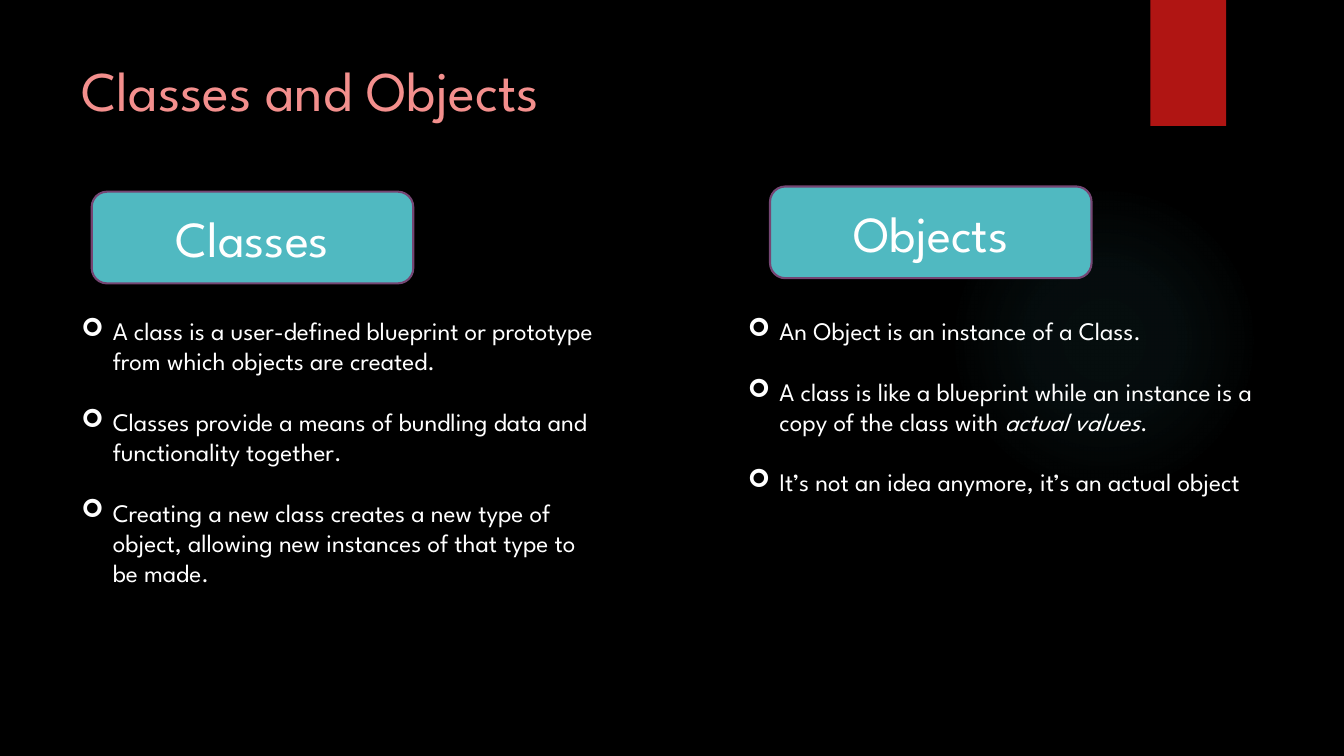
from lxml import etree
from pptx import Presentation
from pptx.dml.color import RGBColor
from pptx.enum.shapes import MSO_SHAPE
from pptx.enum.text import MSO_ANCHOR, PP_ALIGN
from pptx.oxml import parse_xml
from pptx.oxml.ns import nsdecls, qn
from pptx.util import Pt

OVAL, RECT, ROUNDED = MSO_SHAPE.OVAL, MSO_SHAPE.RECTANGLE, MSO_SHAPE.ROUNDED_RECTANGLE
TOP, MIDDLE = MSO_ANCHOR.TOP, MSO_ANCHOR.MIDDLE
LEFT, CENTER = PP_ALIGN.LEFT, PP_ALIGN.CENTER
FONT = "League Spartan"
TEAL, WHITE = "50B9C1", "FFFFFF"


def color(hex_code):
    return RGBColor.from_string(hex_code)


def add_run(paragraph, text, size, hex_code, italic=False):
    run = paragraph.add_run()
    run.text = text
    run.font.name = FONT
    run.font.size = Pt(size)
    run.font.color.rgb = color(hex_code)
    if italic:
        run.font.italic = True


prs = Presentation()
prs.slide_width, prs.slide_height = Pt(960), Pt(540)
slide = prs.slides.add_slide(prs.slide_layouts[5])
slide.background.fill.solid()
slide.background.fill.fore_color.rgb = color("000000")
shapes = slide.shapes

# Faint round glow, fading outwards
glow = shapes.add_shape(OVAL, Pt(677.5), Pt(131.8), Pt(221.8), Pt(221.8))
glow.shadow.inherit = False
glow.line.fill.background()
stops = "".join(
    f'<a:gs pos="{pos}000"><a:srgbClr val="{TEAL}"><a:alpha val="{alpha}000"/></a:srgbClr></a:gs>'
    for pos, alpha in [(0, 7), (36, 6), (69, 0)])
glow.element.spPr.find(qn("a:prstGeom")).addnext(parse_xml(
    f'<a:gradFill {nsdecls("a")}><a:gsLst>{stops}</a:gsLst><a:path path="circle">'
    '<a:fillToRect l="50000" t="50000" r="50000" b="50000"/></a:path></a:gradFill>'))

# Red ribbon at the top edge
ribbon = shapes.add_shape(RECT, Pt(821.8), Pt(0), Pt(54), Pt(90))
ribbon.shadow.inherit = False
ribbon.fill.solid()
ribbon.fill.fore_color.rgb = color("B01513")
ribbon.line.fill.background()

# Title
title = shapes.title
title.left, title.top, title.width, title.height = Pt(51), Pt(36), Pt(741), Pt(110)
title.text_frame.vertical_anchor = TOP
heading = title.text_frame.paragraphs[0]
heading.alignment = LEFT
add_run(heading, "Classes and Objects", 40, "F38F8D")

# Two columns: label, label left and top, list left, points as (text, italic) runs
columns = [
    ("Classes", 65.5, 136.9, 51, [
        [("A class is a user-defined blueprint or prototype from which objects are created.", False)],
        [("Classes provide a means of bundling data and functionality together.", False)],
        [("Creating a new class creates a new type of object, allowing new instances "
          "of that type to be made.", False)],
    ]),
    ("Objects", 550, 133.2, 527.2, [
        [("An Object is an instance of a Class.", False)],
        [("A class is like a blueprint while an instance is a copy of the class with ", False),
         ("actual values", True), (".", False)],
        [("It’s not an idea anymore, it’s an actual object", False)],
    ]),
]
for label, label_left, label_top, list_left, points in columns:
    badge = shapes.add_shape(ROUNDED, Pt(label_left), Pt(label_top), Pt(229.7), Pt(65.5))
    badge.shadow.inherit = False
    badge.fill.solid()
    badge.fill.fore_color.rgb = color(TEAL)
    badge.line.color.rgb = color("754673")
    badge.line.width = Pt(1.5)
    badge.text_frame.vertical_anchor = MIDDLE
    badge_text = badge.text_frame.paragraphs[0]
    badge_text.alignment = CENTER
    add_run(badge_text, label, 36, WHITE)

    # Bulleted points, one line apart
    point_list = shapes.add_textbox(Pt(list_left), Pt(221.8), Pt(381.6), Pt(225.4))
    frame = point_list.text_frame
    frame.word_wrap = True
    for index, point in enumerate(points):
        paragraph = frame.paragraphs[0] if index == 0 else frame.add_paragraph()
        if index:
            paragraph.space_before = Pt(21.6)
        for text, italic in point:
            add_run(paragraph, text, 18, WHITE, italic)
        properties = paragraph._p.get_or_add_pPr()
        properties.set("marL", str(Pt(22.5)))
        properties.set("indent", str(-Pt(22.5)))
        etree.SubElement(properties, qn("a:buFont")).set("typeface", "Wingdings")
        etree.SubElement(properties, qn("a:buChar")).set("char", "➢")

prs.save("out.pptx")
